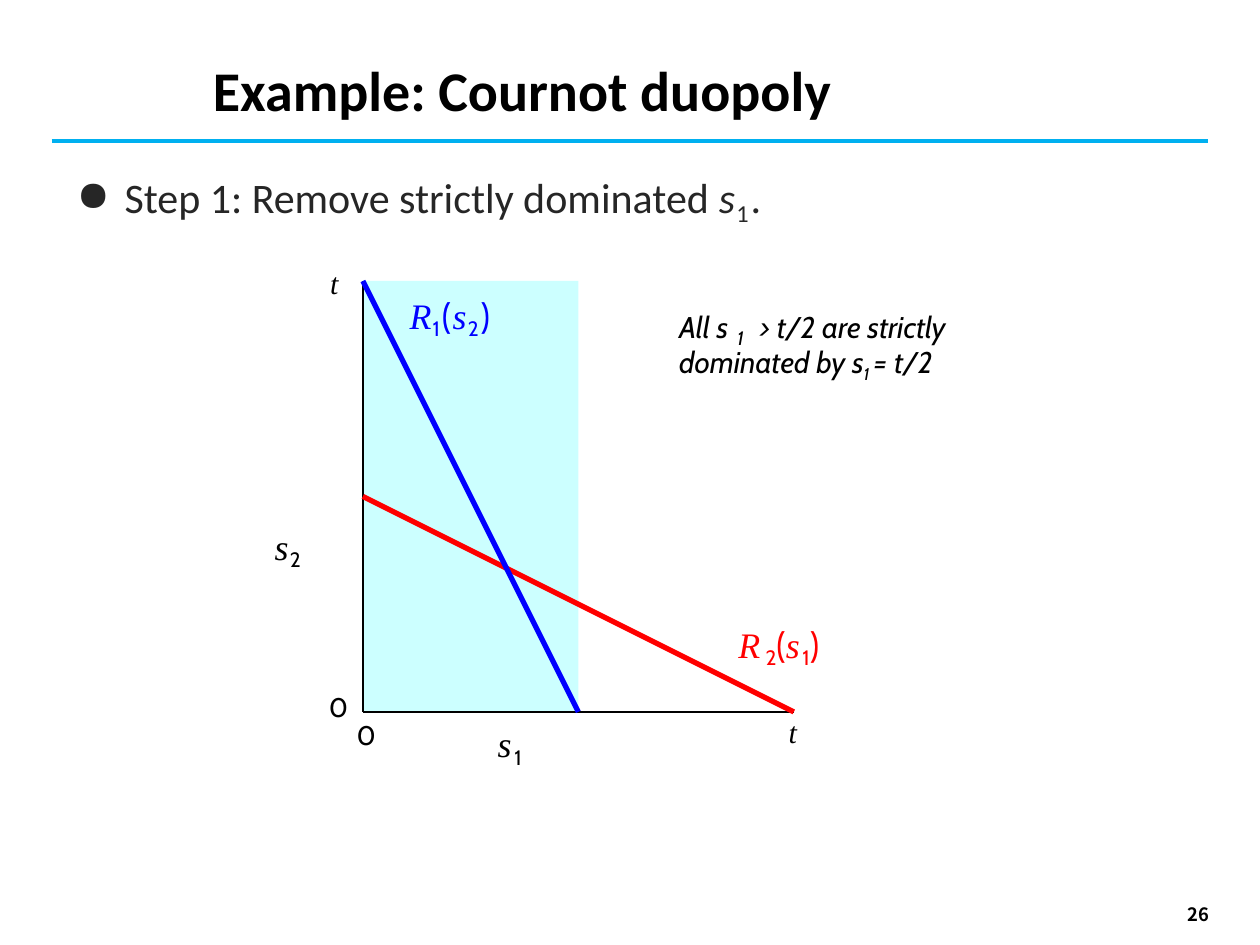
from dataclasses import dataclass
from typing import Optional

from lxml import etree
from pptx import Presentation
from pptx import util as u
from pptx.dml.color import RGBColor
from pptx.enum import shapes, text
from pptx.oxml import ns

BLACK = RGBColor(0x00, 0x00, 0x00)
CHARCOAL = RGBColor(0x26, 0x26, 0x26)
SKY = RGBColor(0x00, 0xB0, 0xF0)
PALE_CYAN = RGBColor(0xCC, 0xFF, 0xFF)
RED = RGBColor(0xFF, 0x00, 0x00)
BLUE = RGBColor(0x00, 0x00, 0xFF)

SERIF = "Times New Roman"
SANS = "Cabin"

ORIGIN_X, ORIGIN_Y, T = 2.88, 5.65, 3.42


@dataclass(frozen=True)
class Piece:
    words: str
    font: str
    size: float
    color: RGBColor = BLACK
    italic: bool = False
    bold: bool = False
    spacing: float = 0
    subscript: bool = False


@dataclass(frozen=True)
class Label:
    left: float
    top: float
    width: float
    height: float
    pieces: tuple[Piece, ...]
    line_height: Optional[float] = None
    tab: Optional[float] = None


@dataclass(frozen=True)
class Segment:
    start: tuple[float, float]
    end: tuple[float, float]
    color: RGBColor
    weight: float


def variable(letter: str, color: RGBColor = BLACK, spacing: float = 0.7) -> Piece:
    return Piece(letter, SERIF, 20.5, color, italic=True, spacing=spacing)


def index(digit: str, color: RGBColor = BLACK, spacing: float = 1.1) -> Piece:
    return Piece(digit, SANS, 20.5, color, spacing=spacing, subscript=True)


def bracket(mark: str, color: RGBColor, spacing: float) -> Piece:
    return Piece(mark, SANS, 20.5, color, spacing=spacing)


def note(words: str, size: float = 17.1, subscript: bool = False) -> Piece:
    return Piece(words, SANS, size, italic=True, subscript=subscript)


def on_axes(s1: float, s2: float) -> tuple[float, float]:
    return ORIGIN_X + s1 * T, ORIGIN_Y - s2 * T


def write(paragraph, pieces: tuple[Piece, ...]) -> None:
    for piece in pieces:
        run = paragraph.add_run()
        run.text = piece.words
        look = {"name": piece.font, "size": u.Pt(piece.size),
                "bold": piece.bold, "italic": piece.italic}
        for attribute, value in look.items():
            setattr(run.font, attribute, value)
        run.font.color.rgb = piece.color
        properties = run._r.get_or_add_rPr()
        if piece.spacing:
            properties.set("spc", str(round(piece.spacing * 100)))
        if piece.subscript:
            properties.set("baseline", "-21000")


def format_frame(frame, inset_x: float = 0, inset_y: float = 0,
                 anchor=text.MSO_ANCHOR.TOP) -> None:
    settings = {
        "margin_left": u.Inches(inset_x), "margin_right": u.Inches(inset_x),
        "margin_top": u.Inches(inset_y), "margin_bottom": u.Inches(inset_y),
        "word_wrap": True, "auto_size": text.MSO_AUTO_SIZE.NONE,
        "vertical_anchor": anchor,
    }
    for attribute, value in settings.items():
        setattr(frame, attribute, value)


def add_label(slide, label: Label, **frame_settings):
    box = slide.shapes.add_textbox(u.Inches(label.left), u.Inches(label.top),
                                   u.Inches(label.width), u.Inches(label.height))
    format_frame(box.text_frame, **frame_settings)
    paragraph = box.text_frame.paragraphs[0]
    if label.tab:
        stops = etree.SubElement(paragraph._p.get_or_add_pPr(), ns.qn("a:tabLst"))
        etree.SubElement(stops, ns.qn("a:tab"), pos=str(u.Inches(label.tab)), algn="l")
    if label.line_height:
        paragraph.line_spacing = u.Pt(label.line_height)
    write(paragraph, label.pieces)
    return paragraph


def add_segment(slide, segment: Segment) -> None:
    ends = [u.Inches(value) for value in segment.start + segment.end]
    line = slide.shapes.add_connector(shapes.MSO_CONNECTOR.STRAIGHT, *ends)
    line.line.color.rgb = segment.color
    line.line.width = u.Pt(segment.weight)
    etree.SubElement(line._element.spPr, ns.qn("a:effectLst"))


def add_title(slide) -> None:
    title = slide.shapes.title
    place = {"left": 1.69, "top": 0.44, "width": 7.8, "height": 0.59}
    for attribute, value in place.items():
        setattr(title, attribute, u.Inches(value))
    format_frame(title.text_frame)
    heading = title.text_frame.paragraphs[0]
    heading.alignment = text.PP_ALIGN.LEFT
    write(heading, (Piece("Example: Cournot duopoly", "Calibri", 32, bold=True),))


def add_step(slide) -> None:
    step = Label(0.51, 1.31, 8.95, 0.6, (
        Piece("Step 1: Remove strictly dominated ", "Calibri", 24, CHARCOAL),
        Piece("s", "Calibri", 24, CHARCOAL, italic=True, spacing=0.7),
        Piece("1", "Calibri", 24, CHARCOAL, spacing=1, subscript=True),
        Piece(".", "Calibri", 24, CHARCOAL, spacing=0.7),
    ))
    paragraph = add_label(slide, step, inset_x=0.1, inset_y=0.05)
    properties = paragraph._p.get_or_add_pPr()
    hanging = u.Inches(0.38)
    properties.set("marL", str(hanging))
    properties.set("indent", str(-hanging))
    etree.SubElement(properties, ns.qn("a:buChar"), char="●")


def add_kept_region(slide) -> None:
    left, top = on_axes(0, 1)
    region = slide.shapes.add_shape(shapes.MSO_SHAPE.RECTANGLE, u.Inches(left),
                                    u.Inches(top), u.Inches(T / 2), u.Inches(T))
    region.shadow.inherit = False
    region.fill.solid()
    region.fill.fore_color.rgb = PALE_CYAN
    region.line.fill.background()


SEGMENTS = (
    Segment((0.41, 1.12), (9.59, 1.12), SKY, 2.25),
    Segment(on_axes(0, 1), on_axes(0, 0), BLACK, 1.5),
    Segment(on_axes(0, 0), on_axes(1, 0), BLACK, 1.5),
    Segment(on_axes(0, 0.5), on_axes(1, 0), RED, 3),
    Segment(on_axes(0, 1), on_axes(0.5, 0), BLUE, 3),
)

AXIS_END = (Piece("t", SERIF, 17.1, italic=True, spacing=1.4),)
ZERO = (Piece("0", SANS, 15.4),)

LABELS = (
    Label(2.62, 2.1, 0.11, 0.29, AXIS_END),
    Label(6.26, 5.66, 0.11, 0.29, AXIS_END),
    Label(2.61, 5.52, 0.2, 0.22, ZERO, line_height=15.6),
    Label(2.83, 5.74, 0.2, 0.22, ZERO, line_height=15.6),
    Label(3.95, 5.73, 0.26, 0.35, (variable("s", spacing=1.5), index("1", spacing=0))),
    Label(2.18, 4.16, 0.3, 0.35, (variable("s", spacing=0.8), index("2"))),
    Label(3.25, 2.33, 0.78, 0.35, (
        variable("R", BLUE), index("1", BLUE), bracket("(", BLUE, 0.7),
        variable("s", BLUE), index("2", BLUE), bracket(")", BLUE, 0.7))),
    Label(5.86, 4.94, 0.78, 0.35, (
        variable("R", RED, 3), index("2", RED, 0), bracket("(", RED, 0),
        variable("s", RED, 1.5), index("1", RED, 0), bracket(")", RED, 0))),
    Label(5.85, 2.59, 0.11, 0.19, (note("1", 11.1),)),
    Label(5.39, 2.45, 2.45, 0.29, (note("All s\t> t/2 are strictly"),), tab=0.63),
    Label(5.39, 2.73, 2.35, 0.29, (
        note("dominated by s"), note("1 ", 16.7, subscript=True), note("= t/2"))),
)

PAGE_NUMBER = Label(9.33, 7.14, 0.79, 0.23,
                    (Piece("26", "Noto Sans CJK KR", 10.5, bold=True),))


def main() -> None:
    deck = Presentation()
    deck.slide_width, deck.slide_height = u.Inches(10), u.Inches(7.5)
    slide = deck.slides.add_slide(deck.slide_layouts[5])
    add_title(slide)
    add_step(slide)
    add_kept_region(slide)
    for segment in SEGMENTS:
        add_segment(slide, segment)
    for label in LABELS:
        add_label(slide, label)
    add_label(slide, PAGE_NUMBER, inset_x=0.1, anchor=text.MSO_ANCHOR.MIDDLE)
    deck.save("out.pptx")


if __name__ == "__main__":
    main()
